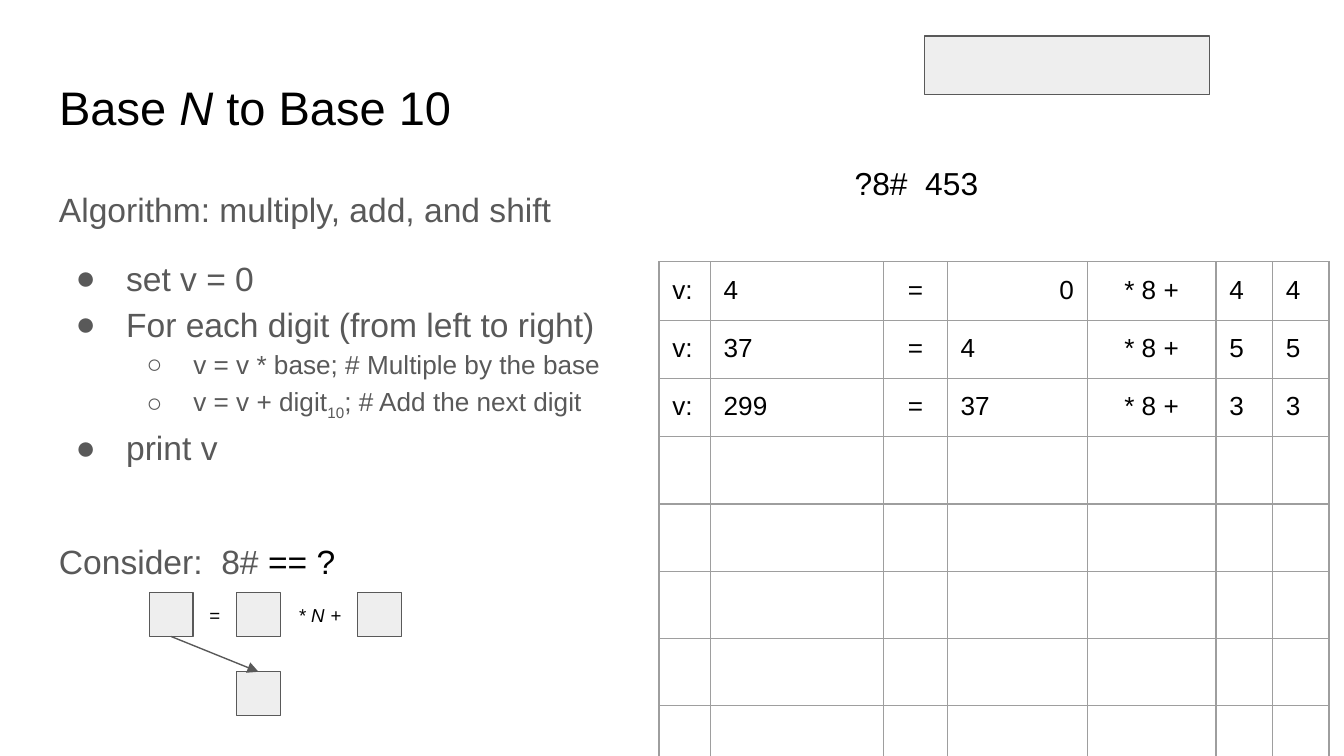
from lxml import etree
from pptx import Presentation
from pptx.dml.color import RGBColor
from pptx.enum.shapes import MSO_CONNECTOR, MSO_SHAPE
from pptx.enum.text import MSO_ANCHOR, PP_ALIGN
from pptx.oxml.ns import qn
from pptx.util import Pt

LEFT, CENTER, RIGHT = PP_ALIGN.LEFT, PP_ALIGN.CENTER, PP_ALIGN.RIGHT
TOP, MIDDLE = MSO_ANCHOR.TOP, MSO_ANCHOR.MIDDLE
RECTANGLE, STRAIGHT = MSO_SHAPE.RECTANGLE, MSO_CONNECTOR.STRAIGHT
TITLE_ONLY = 5
FONT = "Arial"
BLACK, GRAY, PALE, GRID = "000000", "595959", "EEEEEE", "9E9E9E"
INSET = 7.2
TITLE_SIZE, BODY_SIZE, DETAIL_SIZE = 25.2, 18, 14

BULLETS = {0: ("●", 36, -27), 1: ("○", 72, -25)}
# Runs with their formats, bullet level, size, space before
ALGORITHM = [
    ([("Algorithm: multiply, add, and shift", {})], None, BODY_SIZE, 0),
    ([("set v = 0", {})], 0, BODY_SIZE, 12),
    ([("For each digit (from left to right)", {})], 0, BODY_SIZE, 0),
    ([("v = v * base; # Multiple by the base", {})], 1, DETAIL_SIZE, 0),
    ([("v = v + digit", {}), ("10", {"baseline": "-25000"}),
      ("; # Add the next digit", {})], 1, DETAIL_SIZE, 0),
    ([("print v", {})], 0, BODY_SIZE, 0),
    ([("Consider:  8# ", {}), ("== ?", {"color": BLACK})], None, BODY_SIZE, 36),
]
# Value, previous value, digit
STEPS = [("4", "0", "4"), ("37", "4", "5"), ("299", "37", "3")]
COLUMN_WIDTHS = [27.5, 93, 34, 75, 69, 30.25, 30.25]
ROW_HEIGHT, ROW_COUNT = 30.5, 8


def color(hex_string):
    return RGBColor.from_string(hex_string)


def style_font(font, size, hex_string):
    font.name, font.size = FONT, Pt(size)
    font.color.rgb = color(hex_string)


def set_frame(frame, anchor=TOP):
    frame.word_wrap = True
    frame.vertical_anchor = anchor
    frame.margin_left = frame.margin_right = Pt(INSET)
    frame.margin_top = frame.margin_bottom = Pt(INSET)


def add_text_box(shapes, left, top, width, height, anchor=TOP):
    """Add an empty text box and return its text frame."""
    frame = shapes.add_textbox(Pt(left), Pt(top), Pt(width), Pt(height)).text_frame
    set_frame(frame, anchor)
    return frame


def add_rectangle(shapes, left, top, width, height):
    shape = shapes.add_shape(RECTANGLE, Pt(left), Pt(top), Pt(width), Pt(height))
    shape.shadow.inherit = False
    shape.fill.solid()
    shape.fill.fore_color.rgb = color(PALE)
    shape.line.color.rgb = color(GRAY)
    shape.line.width = Pt(0.75)


def add_arrow(shapes, start, end):
    connector = shapes.add_connector(STRAIGHT, *(Pt(value) for value in start + end))
    connector.line.color.rgb = color(GRAY)
    connector.line.width = Pt(0.75)
    properties = connector._element.spPr
    line = properties.find(qn("a:ln"))
    etree.SubElement(line, qn("a:tailEnd"), type="triangle")
    etree.SubElement(properties, qn("a:effectLst"))


def set_bullet(paragraph, level):
    character, margin, indent = BULLETS[level]
    paragraph.level = level
    properties = paragraph._p.get_or_add_pPr()
    properties.set("marL", str(Pt(margin)))
    properties.set("indent", str(Pt(indent)))
    bullet_color = etree.SubElement(properties, qn("a:buClr"))
    etree.SubElement(bullet_color, qn("a:srgbClr"), val=GRAY)
    etree.SubElement(properties, qn("a:buFont"), typeface=FONT)
    etree.SubElement(properties, qn("a:buChar"), char=character)


def place_title(slide, left, top, width, height):
    title = slide.shapes.title
    title.left, title.top = Pt(left), Pt(top)
    title.width, title.height = Pt(width), Pt(height)
    set_frame(title.text_frame)
    paragraph = title.text_frame.paragraphs[0]
    paragraph.alignment = LEFT
    for text, italic in [("Base ", False), ("N", True), (" to Base 10", False)]:
        run = paragraph.add_run()
        run.text = text
        run.font.italic = italic
    style_font(paragraph.font, TITLE_SIZE, BLACK)


def add_algorithm(slide, left, top, width, height):
    frame = add_text_box(slide.shapes, left, top, width, height)
    for index, (runs, level, size, space_before) in enumerate(ALGORITHM):
        paragraph = frame.add_paragraph() if index else frame.paragraphs[0]
        paragraph.line_spacing = 1.15
        paragraph.space_before = Pt(space_before)
        if level is not None:
            set_bullet(paragraph, level)
        style_font(paragraph.font, size, GRAY)
        for text, formats in runs:
            run = paragraph.add_run()
            run.text = text
            if "color" in formats:
                run.font.color.rgb = color(formats["color"])
            if "baseline" in formats:
                run.font._element.set("baseline", formats["baseline"])


def add_question(slide, left, top, width, height):
    frame = add_text_box(slide.shapes, left, top, width, height)
    paragraph = frame.paragraphs[0]
    paragraph.text = "?8#  453"
    paragraph.line_spacing = 1.15
    paragraph.space_after = Pt(12)
    style_font(paragraph.font, 17, BLACK)


def format_cell(cell):
    """Give a cell grid borders, equal margins and no fill."""
    properties = cell._tc.get_or_add_tcPr()
    for side in ("lnL", "lnR", "lnT", "lnB"):
        border = etree.SubElement(properties, qn("a:" + side), w=str(Pt(0.75)))
        fill = etree.SubElement(border, qn("a:solidFill"))
        etree.SubElement(fill, qn("a:srgbClr"), val=GRID)
    cell.fill.background()
    cell.margin_left = cell.margin_right = Pt(INSET)
    cell.margin_top = cell.margin_bottom = Pt(INSET)


def add_steps_table(slide, left, top):
    table = slide.shapes.add_table(
        ROW_COUNT, len(COLUMN_WIDTHS), Pt(left), Pt(top),
        Pt(sum(COLUMN_WIDTHS)), Pt(ROW_COUNT * ROW_HEIGHT)).table
    table.first_row = table.horz_banding = False
    for column, width in zip(table.columns, COLUMN_WIDTHS):
        column.width = Pt(width)
    for row in table.rows:
        row.height = Pt(ROW_HEIGHT)
    for cell in table.iter_cells():
        format_cell(cell)
    for row_index, (value, previous, digit) in enumerate(STEPS):
        texts = ["v:", value, "=", previous, "* 8 +", digit, digit]
        for column_index, text in enumerate(texts):
            paragraph = table.cell(row_index, column_index).text_frame.paragraphs[0]
            paragraph.text = text
            paragraph.alignment = CENTER if column_index in (2, 4) else LEFT
            style_font(paragraph.font, DETAIL_SIZE, BLACK)
    table.cell(0, 3).text_frame.paragraphs[0].alignment = RIGHT


def add_shift_diagram(slide, left, top, size):
    """Draw box = box * N + box, with the result moving to the box below."""
    shapes = slide.shapes.add_group_shape().shapes
    second, third, drop = 46.8, 111.7, 42.3
    for x, y in [(0, 0), (second, 0), (third, 0), (second, drop)]:
        add_rectangle(shapes, left + x, top + y, size, size)
    for text, x, width in [("=", size, size), ("*", 70.5, size),
                           ("N", 77, 26.6), ("+", third - size, size)]:
        paragraph = add_text_box(shapes, left + x, top, width, size, MIDDLE).paragraphs[0]
        paragraph.text = text
        paragraph.alignment = CENTER
        style_font(paragraph.font, 10, BLACK)
        paragraph.font.italic = text == "N"
    add_arrow(shapes, (left + size / 2, top + size),
              (left + second + size / 2, top + drop))


def main():
    presentation = Presentation()
    presentation.slide_width, presentation.slide_height = Pt(720), Pt(405)
    slide = presentation.slides.add_slide(presentation.slide_layouts[TITLE_ONLY])
    place_title(slide, 24.5, 35, 671, 45)
    add_algorithm(slide, 24.5, 90.75, 671, 269)
    add_question(slide, 450.75, 77.75, 162.75, 35.25)
    add_rectangle(slide.shapes, 495.25, 19.25, 152.75, 31.5)
    add_steps_table(slide, 353, 140.25)
    add_shift_diagram(slide, 80, 317.6, 23.4)
    presentation.save("out.pptx")


if __name__ == "__main__":
    main()
